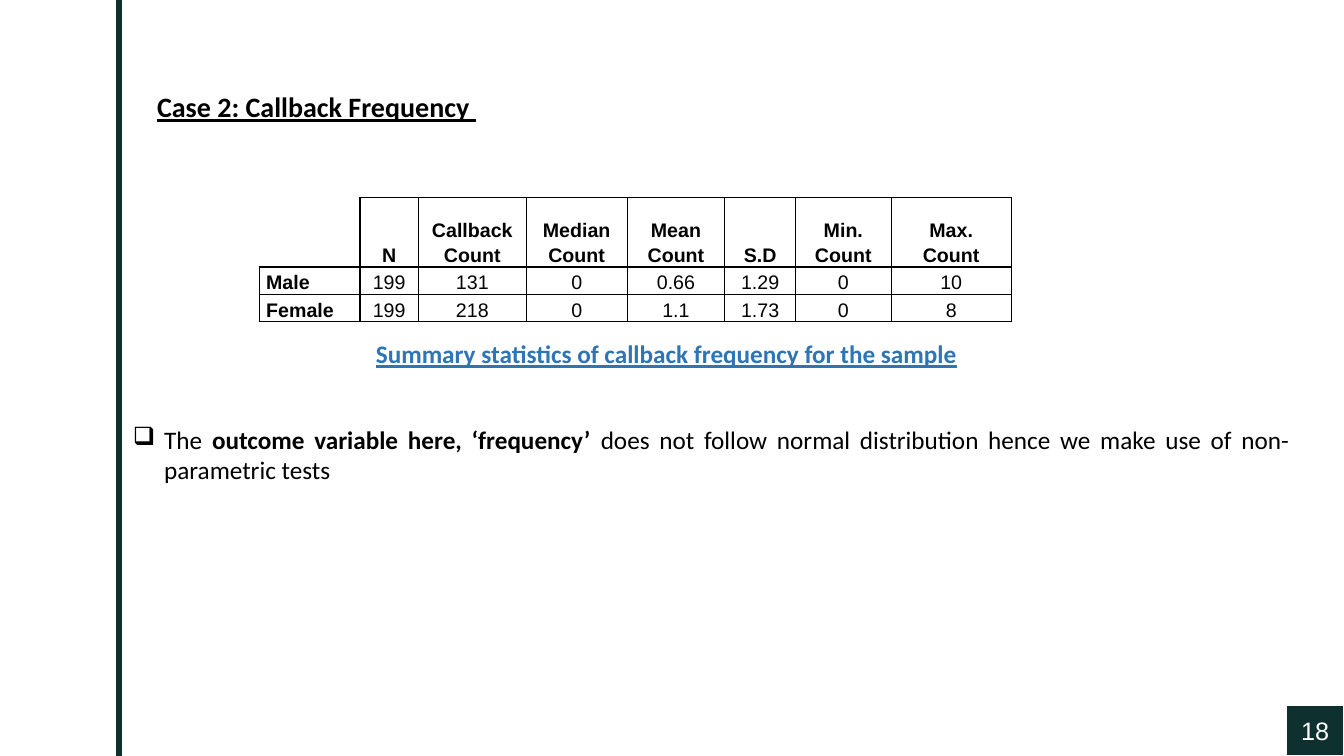
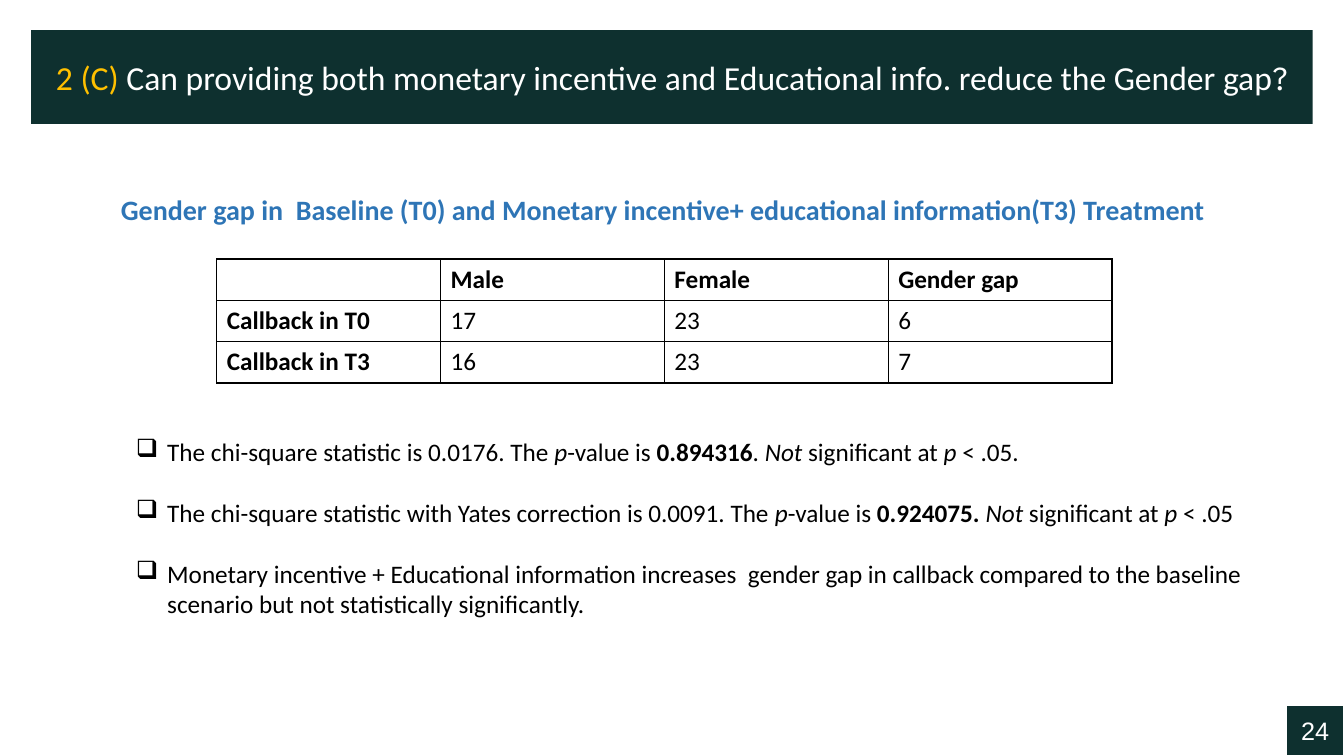
from lxml.etree import SubElement
from pptx import Presentation
from pptx.dml.color import RGBColor
from pptx.enum.shapes import MSO_CONNECTOR as Connector, MSO_SHAPE as Shape
from pptx.enum.text import MSO_ANCHOR as Anchor, PP_ALIGN as Align
from pptx.oxml import parse_xml
from pptx.oxml.ns import nsdecls, qn
from pptx.util import Inches, Pt

COLORS = {"dark": "0E302F", "blue": "2E75B6", "gold": "FFC000",
          "black": "000000", "white": "FFFFFF"}
BOLD = {"bold": True}
ITALIC = {"italic": True}
WIDTH, HEIGHT = 13.33, 7.5

FREQUENCY = {
    "page": "18",
    "title": "Case 2: Callback Frequency ",
    "caption": "Summary statistics of callback frequency for the sample",
    "columns": [1, 0.58, 1.07, 1, 0.97, 0.7, 0.95, 1.19],
    "rows": [
        ["", "N", "Callback\nCount", "Median\nCount", "Mean\nCount", "S.D",
         "Min.\nCount", "Max.\nCount"],
        ["Male", "199", "131", "0", "0.66", "1.29", "0", "10"],
        ["Female", "199", "218", "0", "1.1", "1.73", "0", "8"],
    ],
    "bullets": [
        ["The ", ("outcome variable here, ‘frequency’", BOLD),
         " does not follow normal distribution hence we make use of "
         "non-parametric tests"],
    ],
}
GENDER_GAP = {
    "page": "24",
    "title": [
        ("2 (C) ", {"color": "gold"}),
        "Can providing both monetary incentive and Educational info. "
        "reduce the Gender gap",
        ("?", {"font": "League Spartan"}),
    ],
    "caption": "Gender gap in  Baseline (T0) and Monetary incentive+ "
               "educational information(T3) Treatment",
    "columns": [2.22] * 4,
    "rows": [
        ["", "Male", "Female", "Gender gap"],
        ["Callback in T0", "17", "23", "6"],
        ["Callback in T3", "16", "23", "7"],
    ],
    "bullets": [
        ["The chi-square statistic is 0.0176. The ", ("p", ITALIC),
         "-value is ", ("0.894316", BOLD), ". ", ("Not", ITALIC),
         " significant at ", ("p", ITALIC), " < .05."],
        ["The chi-square statistic with Yates correction is 0.0091. The ",
         ("p", ITALIC), "-value is ", ("0.924075. ", BOLD), ("Not", ITALIC),
         " significant at ", ("p", ITALIC), " < .05"],
        ["Monetary incentive + Educational information increases  gender gap "
         "in callback compared to the baseline scenario but not "
         "statistically significantly."],
    ],
}


def rgb(name):
    return RGBColor.from_string(COLORS[name])


def style_span(span, font="Calibri", size=18, color="black", bold=False,
               italic=False, underline=False):
    span.font.name = font
    span.font.size = Pt(size)
    span.font.color.rgb = rgb(color)
    span.font.bold = bold
    span.font.italic = italic
    span.font.underline = underline


def write(frame, paragraphs, align=Align.LEFT, spacing=None, after=0,
          bullet=None, **style):
    frame.word_wrap = True
    for index, spans in enumerate(paragraphs):
        para = frame.add_paragraph() if index else frame.paragraphs[0]
        para.alignment = align
        para.space_after = Pt(after)
        if spacing:
            para.line_spacing = spacing
        if bullet:
            properties = para._p.get_or_add_pPr()
            properties.set("marL", str(Inches(0.31)))
            properties.set("indent", str(-Inches(0.31)))
            SubElement(properties, qn("a:buChar")).set("char", bullet)
        for part in [spans] if isinstance(spans, str) else spans:
            text, extra = (part, {}) if isinstance(part, str) else part
            span = para.add_run()
            span.text = text
            style_span(span, **{**style, **extra})


def add_text(page, place, paragraphs, **style):
    box = page.shapes.add_textbox(*map(Inches, place))
    write(box.text_frame, paragraphs, **style)


def add_block(page, place, spans, outline=None, **style):
    block = page.shapes.add_shape(Shape.RECTANGLE, *map(Inches, place))
    block.shadow.inherit = False
    block.fill.solid()
    block.fill.fore_color.rgb = rgb("dark")
    if outline:
        block.line.color.rgb = rgb(outline)
        block.line.width = Pt(1)
    else:
        block.line.fill.background()
    block.text_frame.vertical_anchor = Anchor.MIDDLE
    write(block.text_frame, [spans], align=Align.CENTER, color="white", **style)


def set_borders(cell, hidden=""):
    properties = cell._tc.get_or_add_tcPr()
    for index, side in enumerate("LRTB"):
        paint = "<a:noFill/>" if side in hidden else (
            f'<a:solidFill><a:srgbClr val="{COLORS["black"]}"/></a:solidFill>')
        border = parse_xml(
            f'<a:ln{side} {nsdecls("a")} w="{Pt(1)}">{paint}</a:ln{side}>')
        properties.insert(index, border)


def add_grid(page, left, top, content, heights, insets=(0.1, 0.05),
             anchor=Anchor.TOP, value_align=Align.LEFT, open_corner=False,
             **style):
    rows, columns = content["rows"], content["columns"]
    place = (left, top, sum(columns), sum(heights))
    grid = page.shapes.add_table(len(rows), len(columns),
                                 *map(Inches, place)).table
    grid.horz_banding = False
    for column, width in zip(grid.columns, columns):
        column.width = Inches(width)
    for r, (values, height) in enumerate(zip(rows, heights)):
        grid.rows[r].height = Inches(height)
        for c, value in enumerate(values):
            cell = grid.cell(r, c)
            cell.fill.solid()
            cell.fill.fore_color.rgb = rgb("white")
            cell.vertical_anchor = anchor
            cell.margin_left = cell.margin_right = Inches(insets[0])
            cell.margin_top = cell.margin_bottom = Inches(insets[1])
            set_borders(cell, "LT" if open_corner and r == c == 0 else "")
            write(cell.text_frame, value.split("\n"),
                  align=value_align if c else Align.LEFT,
                  bold=r == 0 or c == 0, **style)


def add_side_line(page, x):
    line = page.shapes.add_connector(
        Connector.STRAIGHT, Inches(x), 0, Inches(x), Inches(HEIGHT))
    line.line.color.rgb = rgb("dark")
    line.line.width = Pt(4.5)
    SubElement(line._element.spPr, qn("a:effectLst"))


def add_page_number(page, number):
    width, height = 0.57, 0.5
    add_block(page, (WIDTH - width, HEIGHT - height, width, height), number,
              outline="white", font="Arial")


def build_frequency(page, content):
    add_text(page, (1.46, 0.84, 6.77, 0.44), [content["title"]],
             size=20, bold=True, underline=True)
    add_grid(page, 2.57, 1.96, content, [0.69, 0.22, 0.22], insets=(0.07, 0),
             anchor=Anchor.BOTTOM, value_align=Align.CENTER, open_corner=True,
             spacing=1.15, font="Arial", size=14)
    add_text(page, (3.63, 3.31, 6.06, 0.4), [content["caption"]],
             color="blue", bold=True, underline=True)
    add_text(page, (1.22, 4.16, 11.67, 0.71), content["bullets"],
             align=Align.JUSTIFY, bullet="❑")
    add_side_line(page, 1.18)


def build_gender_gap(page, content):
    add_block(page, (0.31, 0.3, 12.71, 0.93), content["title"], size=24)
    add_grid(page, 2.15, 2.57, content, [0.41] * 3)
    add_text(page, (1.1, 1.86, 11.2, 0.44), [content["caption"]],
             size=20, color="blue", bold=True)
    add_text(page, (1.25, 4.28, 11.28, 2.22), content["bullets"],
             after=22, bullet="❑")


def main():
    deck = Presentation()
    deck.slide_width, deck.slide_height = Inches(WIDTH), Inches(HEIGHT)
    for build, content in ((build_frequency, FREQUENCY),
                           (build_gender_gap, GENDER_GAP)):
        page = deck.slides.add_slide(deck.slide_layouts[6])
        build(page, content)
        add_page_number(page, content["page"])
    deck.save("out.pptx")


if __name__ == "__main__":
    main()
